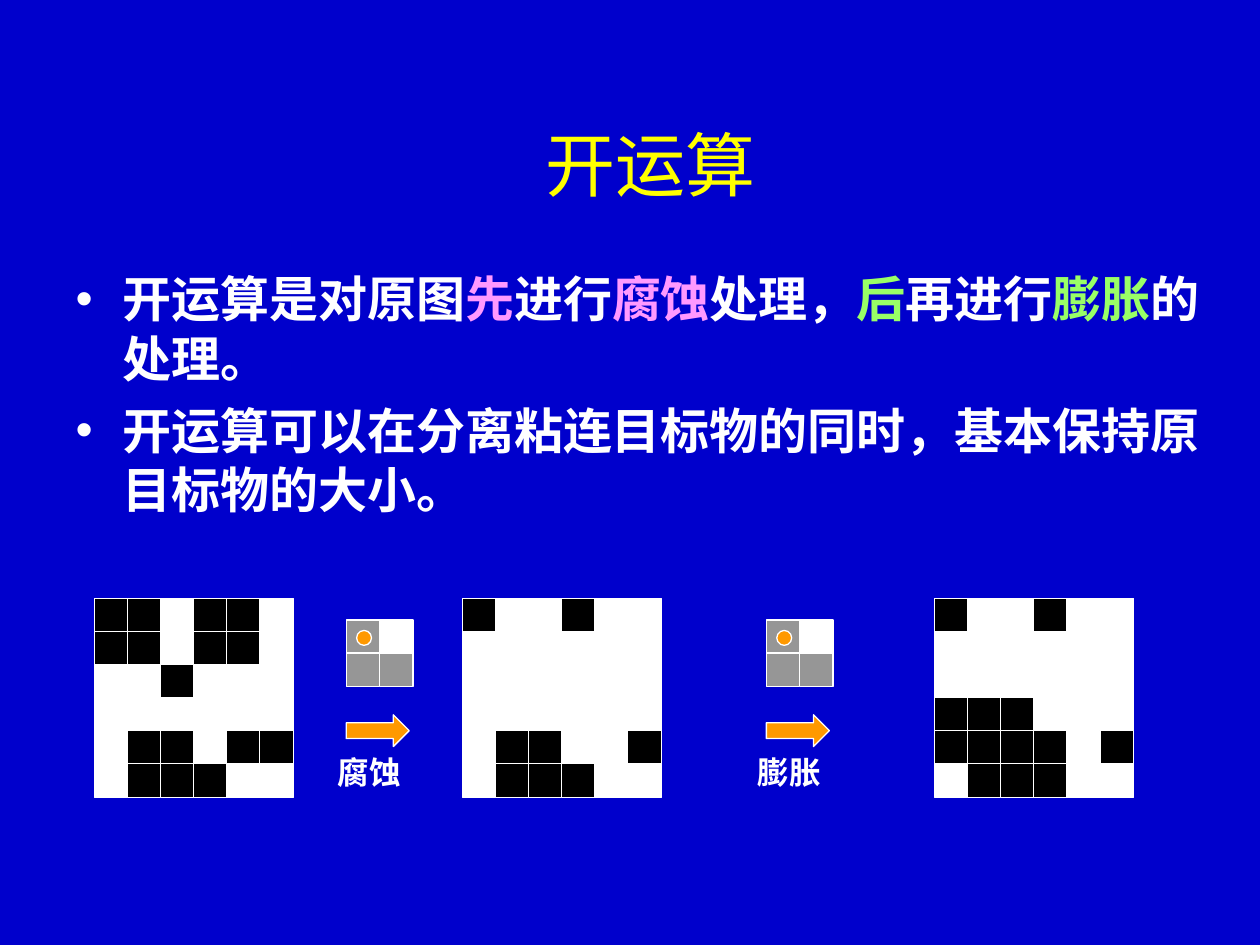
from lxml import etree
from pptx import Presentation
from pptx.dml.color import RGBColor
from pptx.enum.shapes import MSO_SHAPE
from pptx.enum.text import MSO_ANCHOR, MSO_AUTO_SIZE, PP_ALIGN
from pptx.oxml.ns import qn
from pptx.util import Cm, Pt

RECTANGLE = MSO_SHAPE.RECTANGLE
ARROW = MSO_SHAPE.RIGHT_ARROW
OVAL = MSO_SHAPE.OVAL
MIDDLE, TOP = MSO_ANCHOR.MIDDLE, MSO_ANCHOR.TOP
CENTER, LEFT = PP_ALIGN.CENTER, PP_ALIGN.LEFT
FIXED = MSO_AUTO_SIZE.NONE

FONT, LABEL_FONT = "Noto Sans CJK SC", "Times New Roman"
BLUE, YELLOW, WHITE, BLACK = "0000CC", "FFFF00", "FFFFFF", "000000"
GRAY, ORANGE, PINK, GREEN = "969696", "FF9900", "FF99FF", "99FF66"
FILLS = {"#": BLACK, ".": WHITE, "o": GRAY}
CELL, PITCH = 0.68, 0.667

# Each paragraph is a list of (text, colour) runs
BODY = [
    [("开运算是对原图", WHITE), ("先", PINK), ("进行", WHITE), ("腐蚀", PINK),
     ("处理，", WHITE), ("后", GREEN), ("再进行", WHITE), ("膨胀", GREEN),
     ("的处理。", WHITE)],
    [("开运算可以在分离粘连目标物的同时，基本保持原目标物的大小。", WHITE)],
]
SOURCE = ["##.##.", "##.##.", "..#...", "......", ".##.##", ".###.."]
ERODED = ["#..#..", "......", "......", "......", ".##..#", ".###.."]
OPENED = ["#..#..", "......", "......", "###...", "####.#", ".###.."]
KERNEL = ["o.", "oo"]


def color(value):
    return RGBColor.from_string(value)


def format_run(run, size, value, bold=False, font=FONT):
    run.font.name = font
    run.font.size = Pt(size)
    run.font.bold = bold
    run.font.color.rgb = color(value)
    east_asian = etree.SubElement(run.font._element, qn("a:ea"))
    east_asian.set("typeface", FONT)


def place(shape, left, top, width, height):
    shape.left, shape.top = Cm(left), Cm(top)
    shape.width, shape.height = Cm(width), Cm(height)


def set_bullet(paragraph):
    properties = paragraph._p.get_or_add_pPr()
    properties.set("marL", str(Cm(0.95)))
    properties.set("indent", str(-Cm(0.95)))
    bullet_color = etree.SubElement(properties, qn("a:buClr"))
    etree.SubElement(bullet_color, qn("a:srgbClr")).set("val", WHITE)
    etree.SubElement(properties, qn("a:buChar")).set("char", "•")


def add_title(slide, left, top, width, height):
    title = slide.shapes.title
    place(title, left, top, width, height)
    frame = title.text_frame
    frame.text = "开运算"
    frame.auto_size = FIXED
    frame.vertical_anchor = MIDDLE
    paragraph = frame.paragraphs[0]
    paragraph.alignment = CENTER
    paragraph.line_spacing = Pt(48)
    format_run(paragraph.runs[0], 40, YELLOW)


def add_body(slide, left, top, width, height):
    body = slide.placeholders[1]
    place(body, left, top, width, height)
    frame = body.text_frame
    frame.auto_size = FIXED
    frame.vertical_anchor = TOP
    for index, parts in enumerate(BODY):
        paragraph = frame.add_paragraph() if index else frame.paragraphs[0]
        set_bullet(paragraph)
        paragraph.alignment = LEFT
        paragraph.line_spacing = Pt(34)
        paragraph.space_before = Pt(7 if index else 0)
        for text, value in parts:
            run = paragraph.add_run()
            run.text = text
            format_run(run, 28, value, bold=True)


def add_outlined(group, kind, left, top, width, height, fill):
    shape = group.shapes.add_shape(kind, Cm(left), Cm(top), Cm(width), Cm(height))
    shape.shadow.inherit = False
    shape.fill.solid()
    shape.fill.fore_color.rgb = color(fill)
    shape.line.color.rgb = color(WHITE)
    shape.line.width = Pt(0.75)


def add_pixels(group, left, top, rows):
    for row, codes in enumerate(rows):
        for column, code in enumerate(codes):
            add_outlined(group, RECTANGLE, left + column * PITCH,
                         top + row * PITCH, CELL, CELL, FILLS[code])


def add_step(slide, left, top, label):
    group = slide.shapes.add_group_shape()
    # Arrow, structuring element and its origin
    add_outlined(group, ARROW, left + 0.42, top + 1.91, 1.27, 0.64, ORANGE)
    add_pixels(group, left + 0.42, top, KERNEL)
    add_outlined(group, OVAL, left + 0.63, top + 0.21, 0.3, 0.3, ORANGE)
    # Operation name
    box = group.shapes.add_textbox(Cm(left), Cm(top + 2.54), Cm(2.11), Cm(1.02))
    frame = box.text_frame
    frame.word_wrap = True
    frame.text = label
    paragraph = frame.paragraphs[0]
    paragraph.line_spacing = Pt(22)
    format_run(paragraph.runs[0], 18, WHITE, bold=True, font=LABEL_FONT)


def main():
    presentation = Presentation()
    presentation.slide_width, presentation.slide_height = Cm(25.4), Cm(19.05)
    slide = presentation.slides.add_slide(presentation.slide_layouts[1])
    slide.background.fill.solid()
    slide.background.fill.fore_color.rgb = color(BLUE)

    add_title(slide, 3.25, 1.7, 19.71, 3.18)
    add_body(slide, 1.27, 5.28, 23.93, 6.15)

    # Pixel grids with the step that leads to the next one
    for left, rows in ((1.9, SOURCE), (9.32, ERODED), (18.84, OPENED)):
        add_pixels(slide.shapes.add_group_shape(), left, 12.06, rows)
    for left, label in ((6.56, "腐蚀"), (15.03, "膨胀")):
        add_step(slide, left, 12.5, label)

    presentation.save("out.pptx")


if __name__ == "__main__":
    main()
